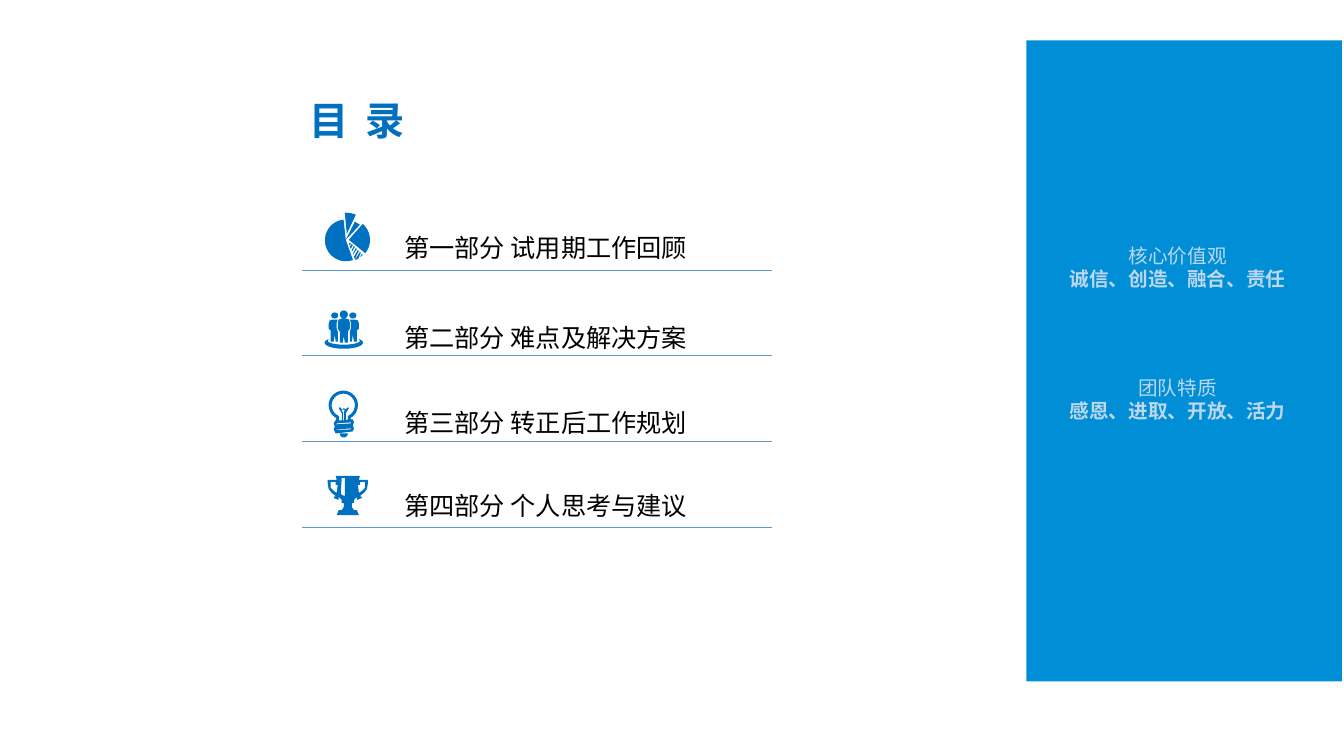
"""Build the contents slide: four sections with icons beside a blue values panel."""
import math

from lxml import etree
from pptx import Presentation
from pptx import util as u
from pptx.dml.color import RGBColor
from pptx.enum import shapes, text
from pptx.oxml.ns import qn

FONT = "Noto Sans CJK SC"
PANEL_BLUE = RGBColor(0x00, 0x8E, 0xD6)
ICON_BLUE = RGBColor(0x00, 0x70, 0xC0)
RULE_BLUE = RGBColor(0x5B, 0x9B, 0xD5)
PALE_BLUE = RGBColor(0xBD, 0xD7, 0xEE)
BLACK = RGBColor(0, 0, 0)

presentation = Presentation()
presentation.slide_width = u.Inches(13.33)
presentation.slide_height = u.Inches(7.5)
slide = presentation.slides.add_slide(presentation.slide_layouts[6])


def add_text(lines, left, top, width, height, size, color, bold=(False,),
             align=text.PP_ALIGN.LEFT, wrap=True, line_spacing=None, tracking=0):
    """Place a text box with one paragraph per line."""
    box = slide.shapes.add_textbox(*map(u.Inches, (left, top, width, height)))
    frame = box.text_frame
    frame.word_wrap = wrap
    frame.auto_size = text.MSO_AUTO_SIZE.SHAPE_TO_FIT_TEXT
    for index, line in enumerate(lines):
        paragraph = frame.paragraphs[0] if index == 0 else frame.add_paragraph()
        paragraph.alignment = align
        paragraph.line_spacing = line_spacing
        run = paragraph.add_run()
        run.text = line
        run.font.size = u.Pt(size)
        run.font.bold = bold[index]
        run.font.color.rgb = color
        run.font.name = FONT
        properties = run._r.get_or_add_rPr()
        etree.SubElement(properties, qn("a:ea")).set("typeface", FONT)
        if tracking:
            properties.set("spc", str(tracking * 100))


def arc(x, y, radius_x, radius_y, start=0, end=360, steps=32):
    """Return points along an ellipse, with angles in degrees clockwise."""
    angles = [math.radians(start + (end - start) * step / steps) for step in range(steps + 1)]
    return [(x + radius_x * math.cos(a), y + radius_y * math.sin(a)) for a in angles]


panel = slide.shapes.add_shape(shapes.MSO_SHAPE.RECTANGLE, u.Inches(10.18), u.Inches(0.4),
                               u.Inches(3.13), u.Inches(6.36))
panel.shadow.inherit = False
panel.fill.solid()
panel.fill.fore_color.rgb = PANEL_BLUE
panel.line.fill.background()

for heading, values, left, top, width in [
    ("核心价值观", "诚信、创造、融合、责任", 10.03, 2.37, 3.3),
    ("团队特质", "感恩、进取、开放、活力", 10.12, 3.68, 3.12),
]:
    add_text([heading, values], left, top, width, 0.57, size=14, color=PALE_BLUE,
             bold=(False, True), align=text.PP_ALIGN.CENTER)

add_text(["目 录"], 2.97, 0.91, 2.61, 0.57, size=28, color=ICON_BLUE, bold=(True,), tracking=3)

pie = [
    [(30, 9), (21, 27)] + arc(21, 27.5, 20.7, 20.7, 264, 70) + [(21, 27), (35, 12)],
    arc(24, 27, 21, 21, -49, 39) + [(24, 27)],
    [(20, 0), (22, 21), (31, 2), (26, 0.5)],
    [(38, 42), (35, 44), (37, 41)],
    [(33, 46), (36, 40), (35, 39), (30, 47)],
    [(30, 46), (34, 38), (33, 37), (29, 44)],
    [(28, 42), (32, 36), (31, 35), (28, 41)],
    [(27, 39), (30, 34), (29, 33), (27, 37)],
    [(26, 36), (28, 32), (27, 31), (25, 34)],
    [(25, 33), (26, 30), (25, 30), (24, 31)],
]

side_body = [(25, 21), (25, 31), (27, 31), (28, 24), (29, 31), (32, 31), (32, 20),
             (34, 18), (34, 13), (33, 10), (30, 9), (25, 9), (26, 12), (26, 18)]
team = [
    arc(19, 32, 19, 6, -38, 218) + arc(19, 30, 16, 4, 180, 0),
    arc(10, 5, 3.5, 3),
    arc(28, 5, 3.5, 3),
    arc(19, 4, 4, 4),
    [(23, 21), (25, 18), (25, 12), (24, 9), (21, 8), (17, 8), (14, 9), (13, 12), (13, 18),
     (15, 21), (15, 32), (18, 32), (19, 25), (20, 32), (23, 32)],
    side_body,
    [(38 - x, y) for x, y in side_body],
]

bulb = [
    arc(18.5, 14, 14.5, 14.5, 118, 422)
    + [(26, 28), (28, 28), (29, 31), (28, 34), (29, 37), (28, 40),
       (11, 42), (9, 38), (10, 35), (9, 32), (10, 30), (11, 29)],
    arc(18.5, 14, 11.5, 11.5, 113, 427)
    + [(23, 28), (21, 29), (21, 22), (24, 17), (23, 16), (21, 18), (19, 17),
       (17, 18), (15, 16), (14, 17), (17, 22), (17, 29), (14, 29)],
    [(20, 18.5), (16.5, 18.5), (18, 21), (18, 29), (19, 29), (19, 21)],
    [(26, 37), (12, 38), (12, 38.6), (26, 38)],
    [(26, 31), (12, 32), (12, 33), (26, 32)],
    arc(19, 42, 4, 4, 0, 180),
]

cup_half = [(35, 0), (34, 4), (43, 4), (43, 7), (42, 13), (39, 17), (35, 20), (35, 21),
            (36, 20), (37, 22), (32, 24), (32, 21), (29, 24), (29, 27), (27, 27),
            (27, 31), (29, 34), (32, 34), (34, 39)]
handle = [(33, 9), (34, 17), (37, 15), (40, 12), (40, 6), (35, 6), (35, 9)]
trophy = [
    cup_half + [(46 - x, y) for x, y in reversed(cup_half)],
    handle,
    [(46 - x, y) for x, y in handle],
    [(17, 2), (16, 17), (17, 19), (20, 20), (20, 2)],
]

RULE_TOP, ROW_PITCH = 2.68, 0.85
sections = [
    ("第一部分 试用期工作回顾", pie, 2.11, 2.2, 1.2),
    ("第二部分 难点及解决方案", team, 3.08, 3.15, None),
    ("第三部分 转正后工作规划", bulb, 3.88, 3.99, None),
    ("第四部分 个人思考与建议", trophy, 4.72, 4.82, None),
]
for row, (title, icon, icon_top, title_top, spacing) in enumerate(sections):
    contours = [[(x * 10, y * 10) for x, y in contour] for contour in icon]
    builder = slide.shapes.build_freeform(*contours[0][0], scale=914.4)
    builder.add_line_segments(contours[0][1:])
    for contour in contours[1:]:
        builder.move_to(*contour[0])
        builder.add_line_segments(contour[1:])
    shape = builder.convert_to_shape(u.Inches(3.22), u.Inches(icon_top))
    shape.shadow.inherit = False
    shape.fill.solid()
    shape.fill.fore_color.rgb = ICON_BLUE
    shape.line.fill.background()

    rule_y = u.Inches(RULE_TOP + row * ROW_PITCH)
    rule = slide.shapes.add_connector(shapes.MSO_CONNECTOR.STRAIGHT,
                                      u.Inches(3), rule_y, u.Inches(7.66), rule_y)
    rule.line.color.rgb = RULE_BLUE
    rule.line.width = u.Pt(0.5)
    etree.SubElement(rule._element.spPr, qn("a:effectLst"))

    add_text([title], 3.91, title_top, 3.05, 0.4, size=18, color=BLACK,
             wrap=False, line_spacing=spacing)

presentation.save("out.pptx")
